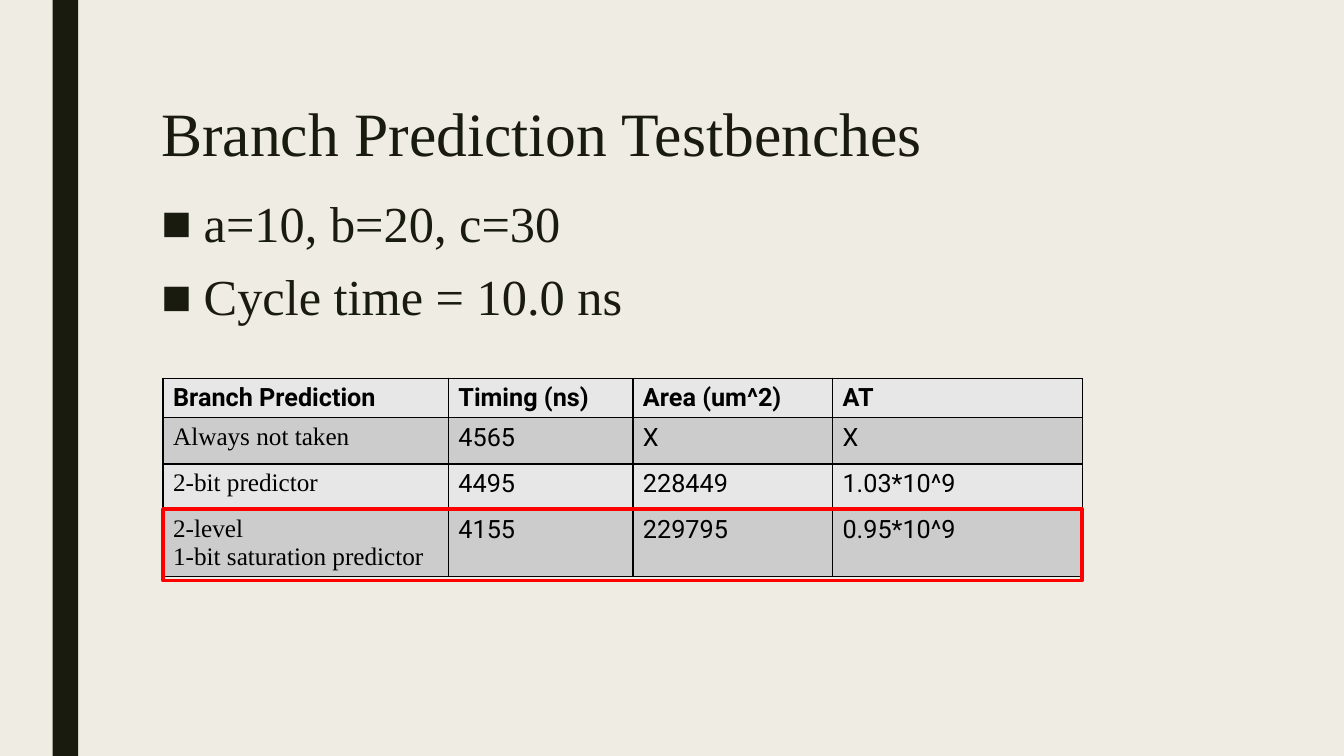
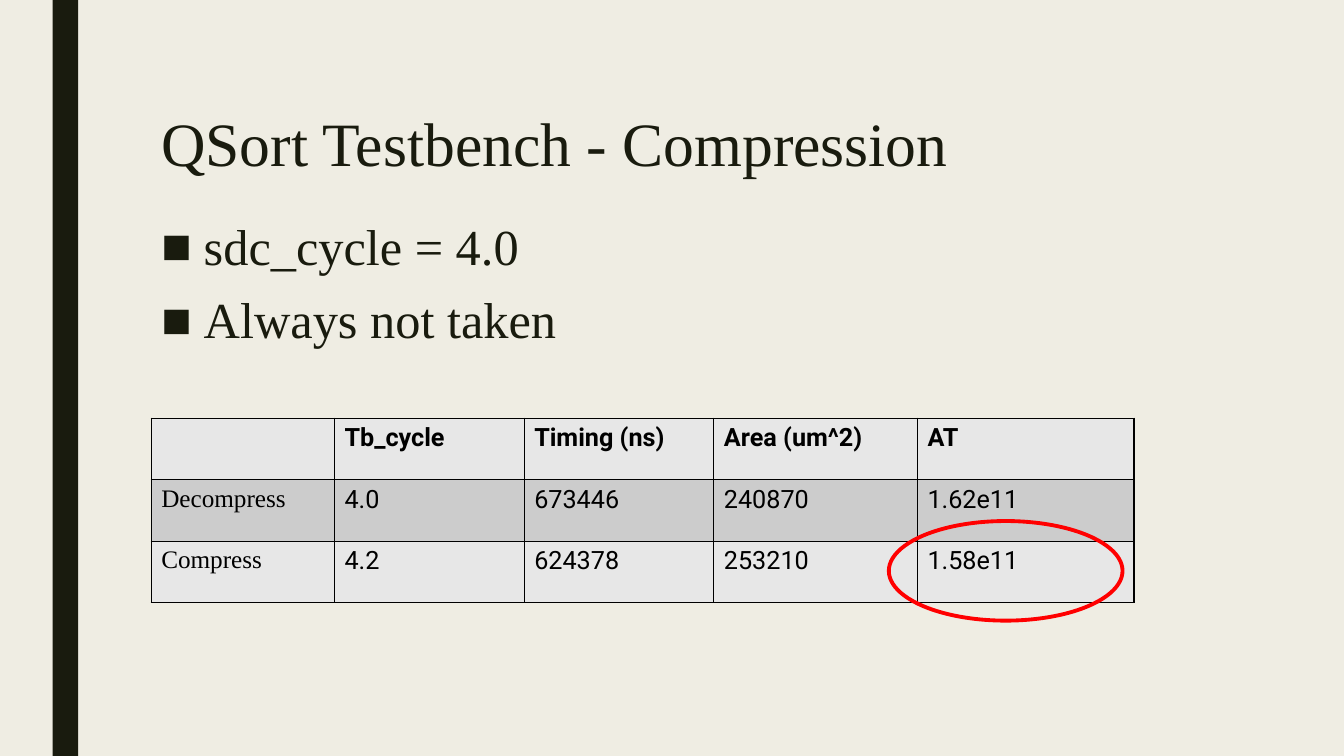
import pptx
import pptx.util
import pptx.dml.color
import pptx.enum.shapes
import pptx.enum.text
import pptx.oxml
import pptx.oxml.ns
import lxml.etree

Cm = pptx.util.Cm
Pt = pptx.util.Pt
RGB = pptx.dml.color.RGBColor
Shape = pptx.enum.shapes.MSO_SHAPE

CREAM = RGB(0xEF, 0xED, 0xE3)
DARK = RGB(0x19, 0x1B, 0x0E)
BLACK = RGB(0, 0, 0)
RED = RGB(0xFF, 0, 0)
LIGHT = RGB(0xE7, 0xE7, 0xE7)
GREY = RGB(0xCC, 0xCC, 0xCC)
SERIF = "Times New Roman"
SANS = "Roboto"
INDENT = Cm(1.07)

# Contents: boxes are left, top, width, height in cm
PAGES = [
    {
        "title": "Branch Prediction Testbenches",
        "head": (3.81, 2.49, 19.86, 2.36),
        "items": ["a=10, b=20, c=30", "Cycle time = 10.0 ns"],
        "body": (3.81, 4.83, 26.67, 6.78),
        "spot": (4.11, 9.53),
        "cols": [7.19, 4.65, 5.03, 6.3],
        "rows": [1, 1.16, 1.16, 1.68],
        "cells": [
            ["Branch Prediction", "Timing (ns)", "Area (um^2)", "AT"],
            ["Always not taken", "4565", "X", "X"],
            ["2-bit predictor", "4495", "228449", "1.03*10^9"],
            ["2-level\n1-bit saturation predictor", "4155", "229795", "0.95*10^9"],
        ],
        "mark": (Shape.RECTANGLE, (4.11, 12.83, 23.16, 1.8)),
    },
    {
        "title": "QSort Testbench - Compression",
        "head": (3.81, 2.74, 25.04, 2.77),
        "items": ["sdc_cycle = 4.0", "Always not taken"],
        "body": (3.81, 5.41, 26.67, 4.62),
        "spot": (3.81, 10.54),
        "cols": [4.62, 4.78, 4.78, 5.13, 5.46],
        "rows": [1.55] * 3,
        "cells": [
            ["", "Tb_cycle", "Timing (ns)", "Area (um^2)", "AT"],
            ["Decompress", "4.0", "673446", "240870", "1.62e11"],
            ["Compress", "4.2", "624378", "253210", "1.58e11"],
        ],
        "mark": (Shape.OVAL, (22.4, 13.13, 5.89, 2.51)),
    },
]


def write(para, text, size, font, color, bold=False):
    run = para.add_run()
    run.text = text
    run.font.size = Pt(size)
    run.font.name = font
    run.font.bold = bold
    run.font.color.rgb = color


def place(box, area):
    box.left, box.top, box.width, box.height = [Cm(n) for n in area]
    frame = box.text_frame
    frame.word_wrap = True
    frame.auto_size = pptx.enum.text.MSO_AUTO_SIZE.NONE
    frame.vertical_anchor = pptx.enum.text.MSO_ANCHOR.TOP
    return frame


deck = pptx.Presentation()
deck.slide_width = Cm(33.87)
deck.slide_height = Cm(19.05)
back = deck.slide_master.background.fill
back.solid()
back.fore_color.rgb = CREAM

for page in PAGES:
    slide = deck.slides.add_slide(deck.slide_layouts[1])
    shapes = slide.shapes

    # Side band
    band = shapes.add_shape(Shape.RECTANGLE, Cm(1.33), 0, Cm(0.64), deck.slide_height)
    band.shadow.inherit = False
    band.fill.solid()
    band.fill.fore_color.rgb = DARK
    band.line.fill.background()

    # Title
    para = place(shapes.title, page["head"]).paragraphs[0]
    para.alignment = pptx.enum.text.PP_ALIGN.LEFT
    para.line_spacing = 0.89
    write(para, page["title"], 44, SERIF, DARK)

    # Bullet list
    frame = place(slide.placeholders[1], page["body"])
    for i, item in enumerate(page["items"]):
        para = frame.add_paragraph() if i else frame.paragraphs[0]
        para.line_spacing = 0.94
        para.space_before = Pt(10)
        para.space_after = Pt(2)
        props = para._p.get_or_add_pPr()
        props.set("marL", str(INDENT))
        props.set("indent", str(-INDENT))
        dot = lxml.etree.SubElement(props, pptx.oxml.ns.qn("a:buChar"))
        dot.set("char", "■")
        write(para, item, 36, SERIF, DARK)

    # Table
    cols, rows = page["cols"], page["rows"]
    left, top = page["spot"]
    table = shapes.add_table(len(rows), len(cols), Cm(left), Cm(top),
                             Cm(sum(cols)), Cm(sum(rows))).table
    table.first_row = table.horz_banding = False
    for col, width in zip(table.columns, cols):
        col.width = Cm(width)
    for row, height in zip(table.rows, rows):
        row.height = Cm(height)
    for r, texts in enumerate(page["cells"]):
        for c, text in enumerate(texts):
            cell = table.cell(r, c)
            props = cell._tc.get_or_add_tcPr()
            for side in "LRTB":
                props.append(pptx.oxml.parse_xml(
                    f'<a:ln{side} {pptx.oxml.ns.nsdecls("a")} w="{Pt(1)}"><a:solidFill>'
                    f'<a:srgbClr val="{BLACK}"/></a:solidFill></a:ln{side}>'))
            cell.fill.solid()
            cell.fill.fore_color.rgb = GREY if r % 2 else LIGHT
            font = SERIF if r and not c else SANS
            for i, line in enumerate(text.split("\n") if text else []):
                frame = cell.text_frame
                para = frame.add_paragraph() if i else frame.paragraphs[0]
                write(para, line, 18, font, BLACK, bold=r == 0)

    # Red highlight
    kind, area = page["mark"]
    mark = shapes.add_shape(kind, *[Cm(n) for n in area])
    mark.shadow.inherit = False
    mark.fill.background()
    mark.line.color.rgb = RED
    mark.line.width = Pt(2.75)

deck.save("out.pptx")
